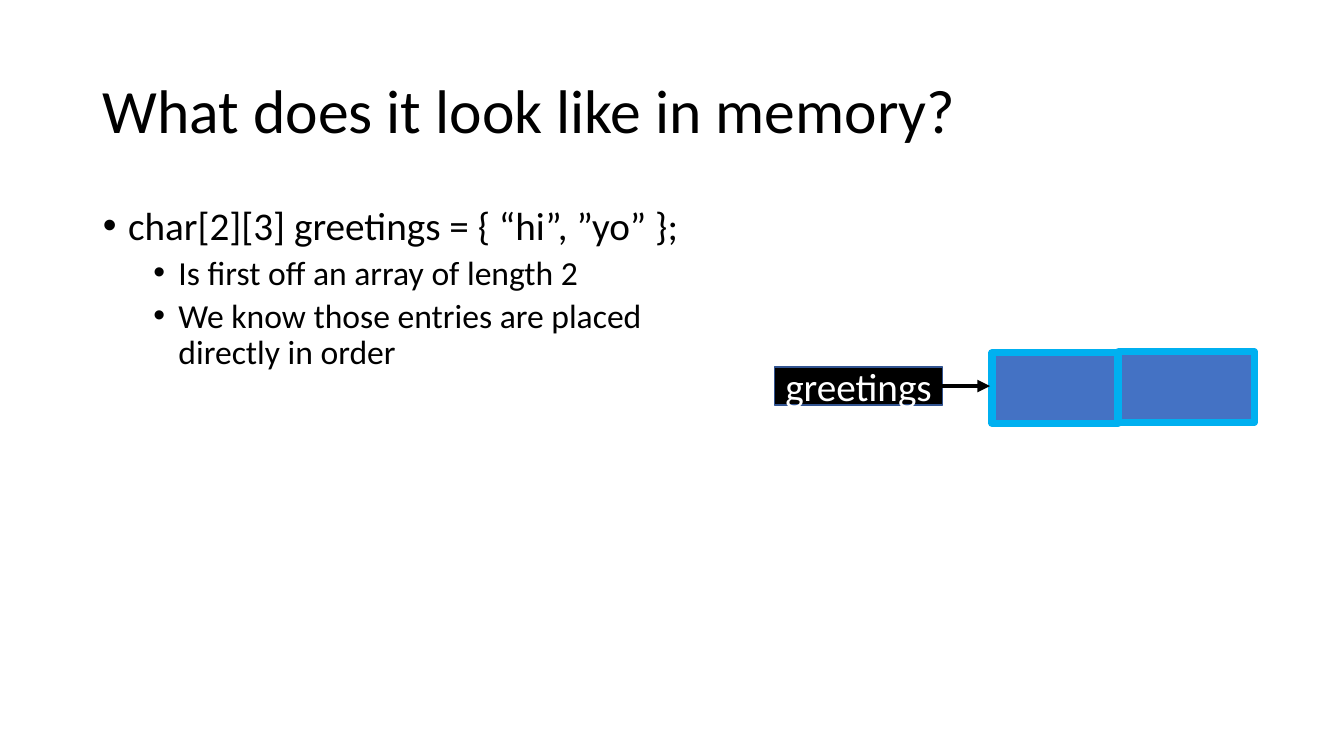
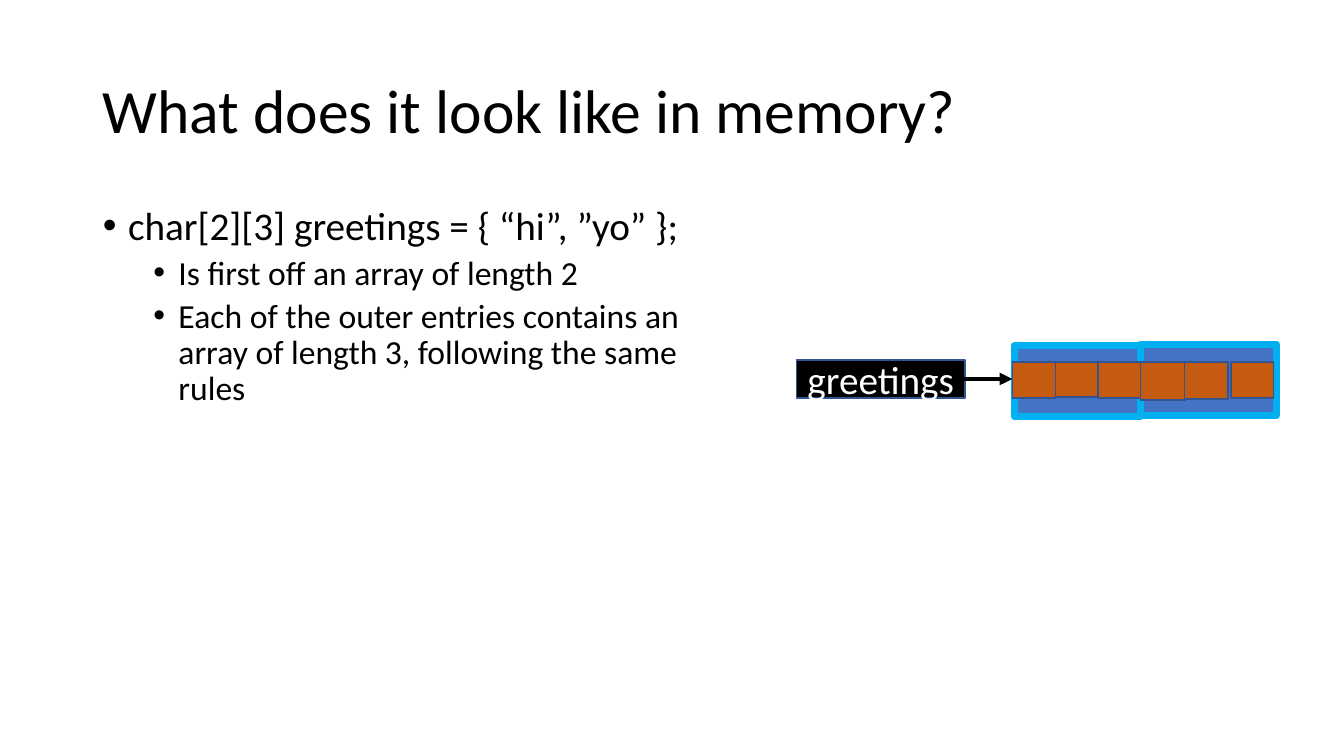
import pptx
import pptx.dml.color
import pptx.enum.shapes
import pptx.enum.text
import pptx.oxml.ns
import pptx.util
from lxml import etree
from pptx.util import Inches, Pt

COLORS = {
    "text": "000000",
    "label text": "FFFFFF",
    "label": "000000",
    "entry": "4472C4",
    "entry border": "00B0F0",
    "cell": "C55A11",
    "thin border": "325491",
}
FONT = "Calibri"
TITLE = "What does it look like in memory?"
SHARED_POINTS = [
    "char[2][3] greetings = { “hi”, ”yo” };",
    "Is first off an array of length 2",
]

# Each page: last point, corner of the left entry, cells (left, width, height)
PAGES = [
    ("We know those entries are placed directly in order", 9.84, 3.5, []),
    (
        "Each of the outer entries contains an array of length 3, following the same rules",
        10.06,
        3.43,
        [
            (10.04, 0.43, 0.36),
            (10.47, 0.43, 0.35),
            (10.89, 0.42, 0.36),
            (11.31, 0.45, 0.38),
            (11.75, 0.43, 0.37),
            (12.21, 0.42, 0.36),
        ],
    ),
]


def style_text(para, size, color):
    for span in para.runs:
        span.font.name = FONT
        span.font.size = Pt(size)
        span.font.color.rgb = pptx.dml.color.RGBColor.from_string(COLORS[color])


def add_box(page, left, top, width, height, fill, border="thin border", weight=1):
    box = page.shapes.add_shape(
        pptx.enum.shapes.MSO_SHAPE.RECTANGLE,
        Inches(left), Inches(top), Inches(width), Inches(height),
    )
    box.shadow.inherit = False
    box.fill.solid()
    box.fill.fore_color.rgb = pptx.dml.color.RGBColor.from_string(COLORS[fill])
    box.line.color.rgb = pptx.dml.color.RGBColor.from_string(COLORS[border])
    box.line.width = Pt(weight)
    return box


deck = pptx.Presentation()
deck.slide_width = Inches(13.33)
deck.slide_height = Inches(7.5)

for last_point, left, top, cells in PAGES:
    page = deck.slides.add_slide(deck.slide_layouts[1])

    # Outer array entries
    for entry_left, entry_top, width in [(left + 1.25, top - 0.01, 1.35), (left, top, 1.25)]:
        add_box(page, entry_left, entry_top, width, 0.7, "entry", "entry border", 5.25)

    # Title
    title = page.shapes.title
    title.left, title.top = Inches(0.92), Inches(0.4)
    title.width, title.height = Inches(11.5), Inches(1.45)
    title.text_frame.text = TITLE
    title.text_frame.auto_size = pptx.enum.text.MSO_AUTO_SIZE.NONE
    title.text_frame.vertical_anchor = pptx.enum.text.MSO_ANCHOR.MIDDLE
    para = title.text_frame.paragraphs[0]
    para.alignment = pptx.enum.text.PP_ALIGN.LEFT
    para.line_spacing = 0.9
    style_text(para, 44, "text")

    # Bullet list
    body = page.placeholders[1]
    body.left, body.top = Inches(0.92), Inches(2)
    body.width, body.height = Inches(6.27), Inches(4.76)
    body.text_frame.text = "\n".join(SHARED_POINTS + [last_point])
    body.text_frame.auto_size = pptx.enum.text.MSO_AUTO_SIZE.NONE
    for index, para in enumerate(body.text_frame.paragraphs):
        para.level = min(index, 1)
        para.line_spacing = 0.9
        para.space_before = Pt(5 if para.level else 10)
        style_text(para, 24 if para.level else 28, "text")
        properties = para._p.get_or_add_pPr()
        properties.set("marL", str(Inches(0.75 if para.level else 0.25)))
        properties.set("indent", str(Inches(-0.25)))
        bullet_font = etree.SubElement(properties, pptx.oxml.ns.qn("a:buFont"))
        bullet_font.set("typeface", "Arial")
        bullet = etree.SubElement(properties, pptx.oxml.ns.qn("a:buChar"))
        bullet.set("char", "•")

    # Inner array cells
    for cell_left, width, height in cells:
        add_box(page, cell_left, 3.59, width, height, "cell")

    # Variable label
    label = add_box(page, left - 2.16, top + 0.14, 1.67, 0.38, "label")
    label.text_frame.text = "greetings"
    label.text_frame.vertical_anchor = pptx.enum.text.MSO_ANCHOR.MIDDLE
    para = label.text_frame.paragraphs[0]
    para.alignment = pptx.enum.text.PP_ALIGN.CENTER
    style_text(para, 28, "label text")

    # Arrow from the label to the first entry
    arrow = page.shapes.add_connector(
        pptx.enum.shapes.MSO_CONNECTOR.STRAIGHT,
        Inches(left - 0.5), Inches(top + 0.33), Inches(left - 0.02), Inches(top + 0.33),
    )
    arrow.line.color.rgb = pptx.dml.color.RGBColor.from_string(COLORS["text"])
    arrow.line.width = Pt(3)
    head = etree.SubElement(arrow.line._get_or_add_ln(), pptx.oxml.ns.qn("a:tailEnd"))
    head.set("type", "triangle")
    etree.SubElement(arrow._element.spPr, pptx.oxml.ns.qn("a:effectLst"))

deck.save("out.pptx")
